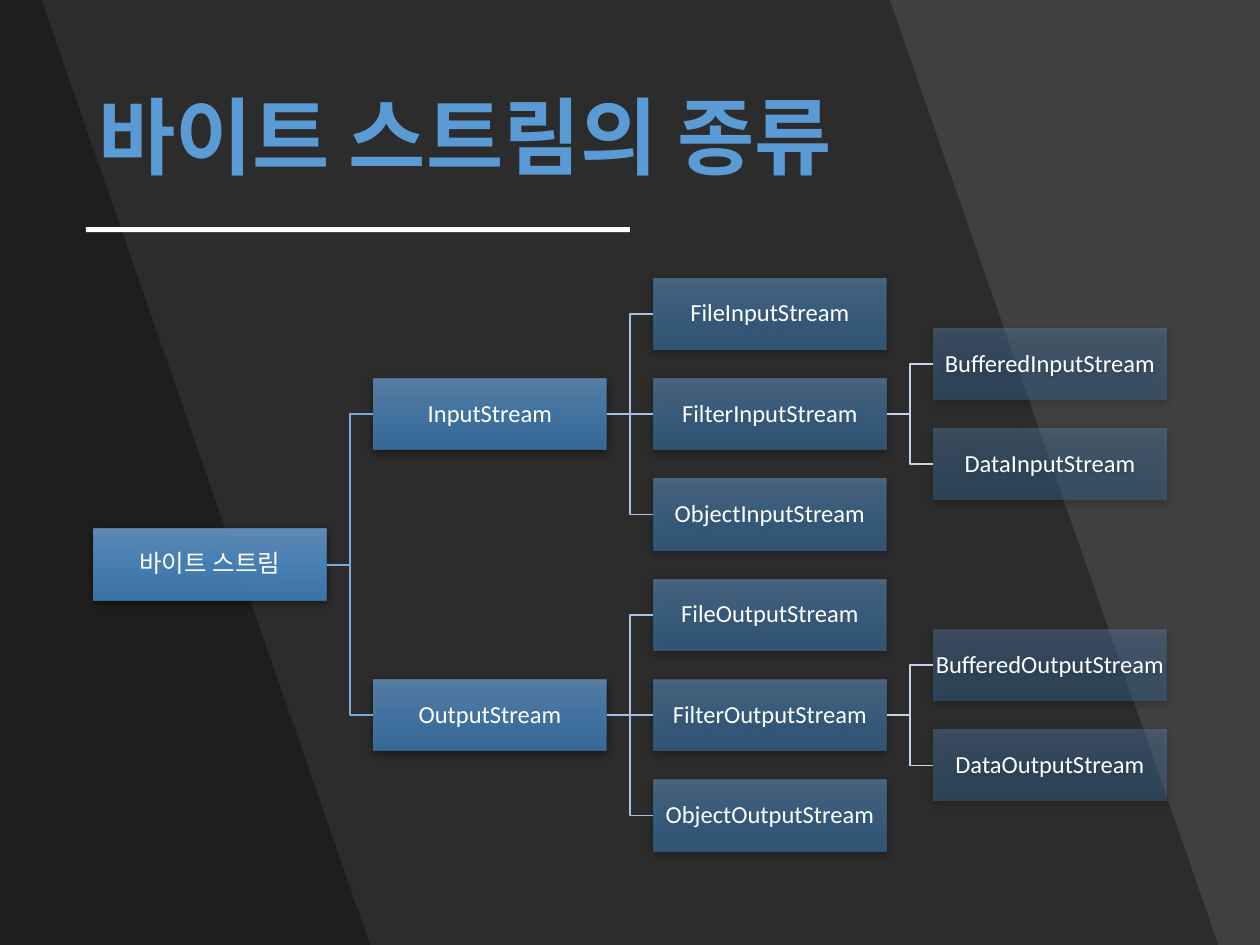
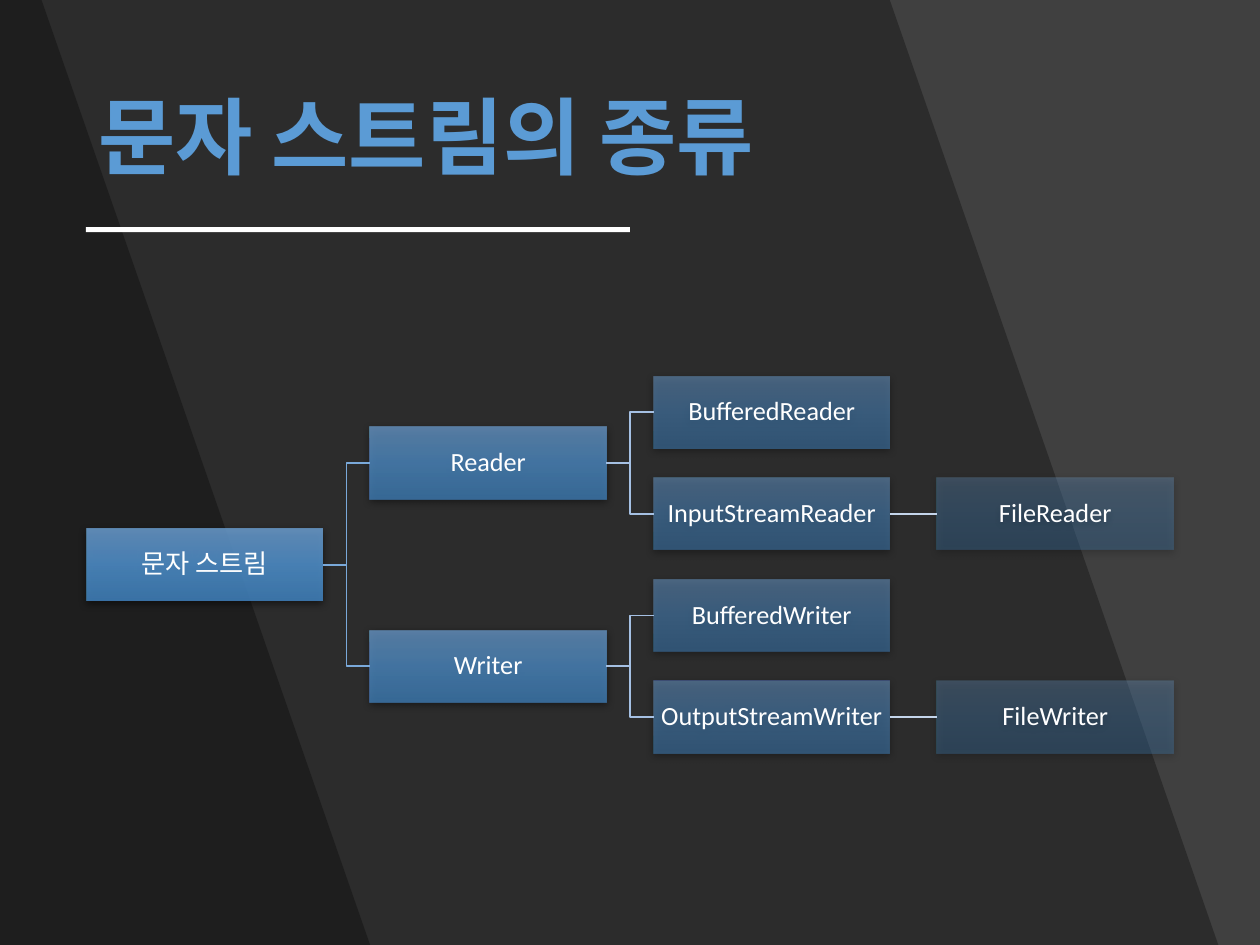
from dataclasses import dataclass

from pptx import Presentation
from pptx.dml.color import RGBColor
from pptx.enum.shapes import MSO_CONNECTOR, MSO_SHAPE
from pptx.enum.text import MSO_ANCHOR, PP_ALIGN
from pptx.oxml import parse_xml
from pptx.oxml.ns import nsdecls, qn
from pptx.util import Pt

RECT = MSO_SHAPE.RECTANGLE
ELBOW, STRAIGHT = MSO_CONNECTOR.ELBOW, MSO_CONNECTOR.STRAIGHT
MIDDLE = MSO_ANCHOR.MIDDLE
LEFT, CENTER = PP_ALIGN.LEFT, PP_ALIGN.CENTER
LEFT_SITE, RIGHT_SITE = 1, 3

# Shared look
SLIDE_W, SLIDE_H = 720, 540
LATIN, KOREAN = "Calibri", "Noto Sans CJK KR"
BACKDROP, SHADE, WHITE, TITLE_BLUE = "404040", "000000", "FFFFFF", "5B9BD5"
BAND_EDGES = [(508.5, 696.25), (23.75, 211.5)]  # top and bottom x of each band
GRADIENT = [(0, "71A6DB"), (50, "559BDB"), (100, "448ACA")]
LEVEL_ALPHA = [80, 70, 50, 30]
LINK_COLORS = ["7AA9DA", "A5C0E3", "C4D5EB"]

# Tree proportions, relative to the width of a box
LEVELS = len(LEVEL_ALPHA)
GAP, HEIGHT, PITCH = 0.2, 0.305, 0.43
TREE_MID_Y = 322.7


@dataclass
class Node:
    text: str
    children: tuple["Node", ...] = ()
    spread: int = 1  # rows from one child to the next


@dataclass
class Tree:
    title: str
    root: Node
    box_w: float
    size: float


def rgb(color: str) -> RGBColor:
    return RGBColor.from_string(color)


def set_text(sp, text: str, *, size: float, color: str, font: str = LATIN,
             bold: bool = False, align=LEFT, inset: tuple = (7.2, 3.6)) -> None:
    tf = sp.text_frame
    tf.word_wrap = True
    tf.vertical_anchor = MIDDLE
    tf.margin_left = tf.margin_right = Pt(inset[0])
    tf.margin_top = tf.margin_bottom = Pt(inset[1])
    p = tf.paragraphs[0]
    p.alignment, p.line_spacing = align, 0.9
    r = p.add_run()
    r.text = text
    r.font.name, r.font.size, r.font.bold = font, Pt(size), bold
    r.font.color.rgb = rgb(color)
    latin = r.font._element.find(qn("a:latin"))
    latin.addnext(parse_xml(f'<a:ea {nsdecls("a")} typeface="{KOREAN}"/>'))


def fill_plain(sp, color: str, alpha: int = 100) -> None:
    sp.shadow.inherit = False
    sp.line.fill.background()
    sp.fill.solid()
    sp.fill.fore_color.rgb = rgb(color)
    if alpha < 100:
        clr = sp._element.spPr.find(qn("a:solidFill"))[0]
        clr.append(parse_xml(f'<a:alpha {nsdecls("a")} val="{alpha * 1000}"/>'))


def fill_glossy(sp, alpha: int) -> None:
    """Translucent vertical gradient with a soft shadow below."""
    sp.shadow.inherit = False
    sp.line.fill.background()
    stops = "".join(
        f'<a:gs pos="{pos * 1000}"><a:srgbClr val="{color}">'
        f'<a:alpha val="{alpha * 1000}"/></a:srgbClr></a:gs>'
        for pos, color in GRADIENT)
    spPr = sp._element.spPr
    spPr.find(qn("a:prstGeom")).addnext(parse_xml(
        f'<a:gradFill {nsdecls("a")} rotWithShape="1"><a:gsLst>{stops}</a:gsLst>'
        '<a:lin ang="5400000" scaled="0"/></a:gradFill>'))
    spPr.find(qn("a:effectLst")).append(parse_xml(
        f'<a:outerShdw {nsdecls("a")} blurRad="{Pt(4.5)}" dist="{Pt(1.5)}" '
        'dir="5400000" algn="ctr" rotWithShape="0">'
        f'<a:srgbClr val="{SHADE}"><a:alpha val="63000"/></a:srgbClr></a:outerShdw>'))


def add_frame(s, title: str) -> None:
    """Background, slanted bands, title and the rule under it."""
    s.background.fill.solid()
    s.background.fill.fore_color.rgb = rgb(BACKDROP)
    for top_x, bottom_x in BAND_EDGES:
        fb = s.shapes.build_freeform(0, 0)
        fb.add_line_segments([(Pt(top_x), 0), (Pt(bottom_x), Pt(SLIDE_H)),
                              (0, Pt(SLIDE_H))])
        fill_plain(fb.convert_to_shape(), SHADE, 30)
    sp = s.shapes.add_textbox(Pt(49), Pt(28.8), Pt(621), Pt(104.4))
    set_text(sp, title, size=48, color=TITLE_BLUE, font=KOREAN, bold=True)
    sp = s.shapes.add_shape(RECT, Pt(49), Pt(129.8), Pt(311), Pt(2.9))
    fill_plain(sp, WHITE)


def add_link(s, parent, child, color: str, kind) -> None:
    sp = s.shapes.add_connector(kind, 0, 0, 0, 0)
    sp.begin_connect(parent, RIGHT_SITE)
    sp.end_connect(child, LEFT_SITE)
    sp.line.color.rgb = rgb(color)
    sp.line.width = Pt(1)
    sp._element.spPr.append(parse_xml(f'<a:effectLst {nsdecls("a")}/>'))


def add_node(s, tree: Tree, node: Node, level: int = 0, mid_y: float = TREE_MID_Y):
    """Draw a node and everything below it; return the node's box."""
    w, h = tree.box_w, tree.box_w * HEIGHT
    tree_w = w * (LEVELS + (LEVELS - 1) * GAP)
    x = (SLIDE_W - tree_w) / 2 + level * w * (1 + GAP)
    box = s.shapes.add_shape(RECT, Pt(x), Pt(mid_y - h / 2), Pt(w), Pt(h))
    fill_glossy(box, LEVEL_ALPHA[level])
    set_text(box, node.text, size=tree.size, color=WHITE, align=CENTER,
             inset=(0.7, 0.7))
    for i, child in enumerate(node.children):
        offset = (i - (len(node.children) - 1) / 2) * node.spread * w * PITCH
        child_box = add_node(s, tree, child, level + 1, mid_y + offset)
        add_link(s, box, child_box, LINK_COLORS[level], ELBOW if offset else STRAIGHT)
    return box


def byte_branch(way: str) -> Node:
    """The input and output families mirror each other."""
    def stream(kind: str, *children: Node) -> Node:
        return Node(f"{kind}{way}Stream", children)

    return stream("", stream("File"),
                  stream("Filter", stream("Buffered"), stream("Data")),
                  stream("Object"))


def char_branch(way: str, role: str) -> Node:
    return Node(role, (Node(f"Buffered{role}"),
                       Node(f"{way}Stream{role}", (Node(f"File{role}"),))))


TREES = [
    Tree("바이트 스트림의 종류",
         Node("바이트 스트림", (byte_branch("Input"), byte_branch("Output")), spread=3),
         box_w=133.33, size=14),
    Tree("문자 스트림의 종류",
         Node("문자 스트림",
              (char_branch("Input", "Reader"), char_branch("Output", "Writer")),
              spread=2),
         box_w=135, size=15),
]

prs = Presentation()
prs.slide_width, prs.slide_height = Pt(SLIDE_W), Pt(SLIDE_H)
blank = prs.slide_layouts[6]
for tree in TREES:
    s = prs.slides.add_slide(blank)
    add_frame(s, tree.title)
    add_node(s, tree, tree.root)
prs.save("out.pptx")
